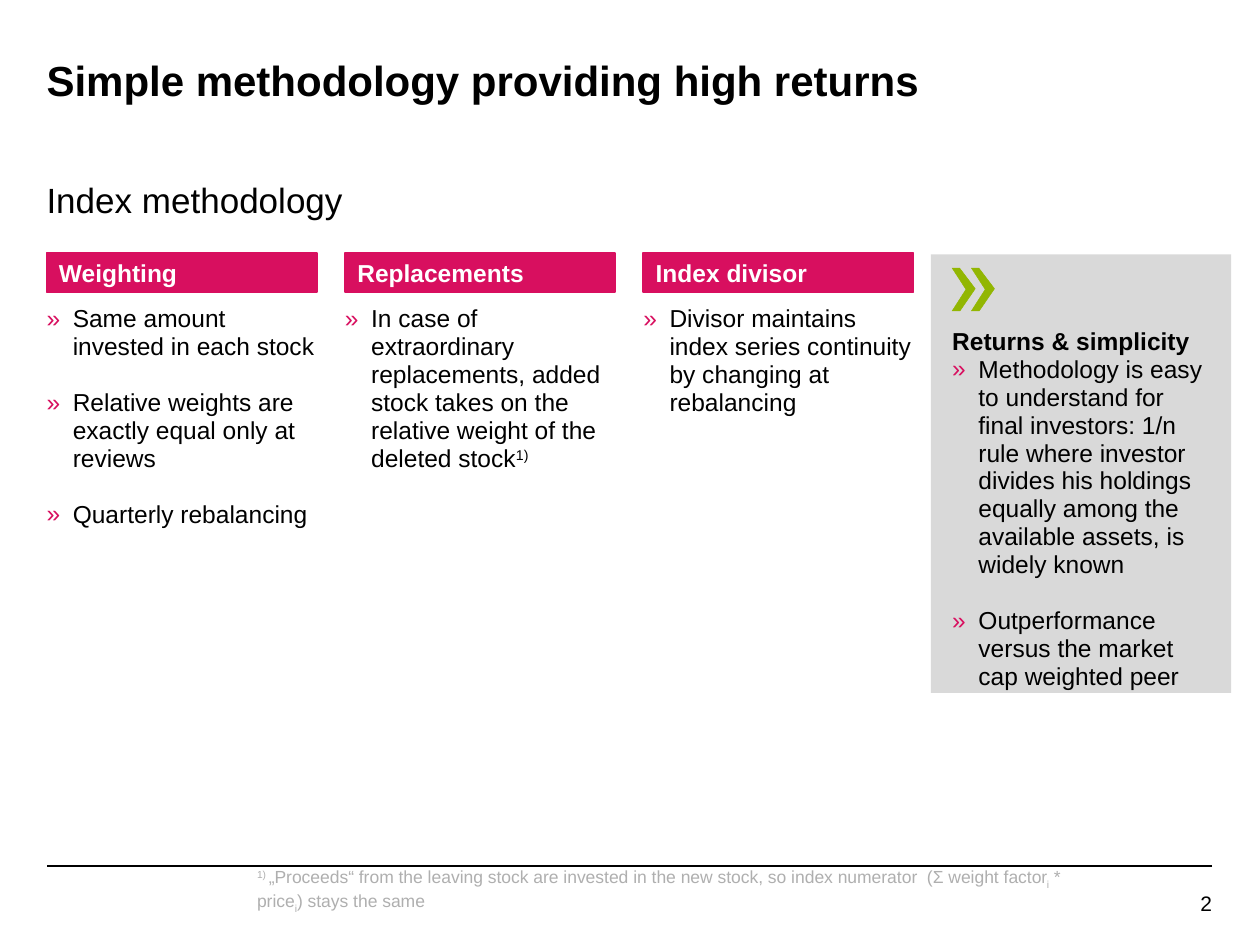
from dataclasses import dataclass

from lxml import etree
from pptx import Presentation
from pptx.dml.color import RGBColor
from pptx.enum.shapes import MSO_CONNECTOR, MSO_SHAPE
from pptx.enum.text import MSO_ANCHOR, MSO_AUTO_SIZE, PP_ALIGN
from pptx.oxml.ns import qn
from pptx.util import Pt

RECTANGLE = MSO_SHAPE.RECTANGLE
STRAIGHT = MSO_CONNECTOR.STRAIGHT
TOP, MIDDLE, BOTTOM = MSO_ANCHOR.TOP, MSO_ANCHOR.MIDDLE, MSO_ANCHOR.BOTTOM
LEFT, RIGHT = PP_ALIGN.LEFT, PP_ALIGN.RIGHT
NO_AUTOFIT = MSO_AUTO_SIZE.NONE


@dataclass(frozen=True)
class Theme:
    font: str = "Arial"
    black: str = "000000"
    white: str = "FFFFFF"
    accent: str = "D80F5F"
    panel: str = "D9D9D9"
    chevron: str = "92B602"
    footnote: str = "AFAFAF"
    title_size: float = 24
    subtitle_size: float = 20
    body_size: float = 14
    number_size: float = 12
    footnote_size: float = 10
    line_spacing: float = 0.95
    bullet_gap: float = 16
    bullet_indent: float = 15


@dataclass(frozen=True)
class Box:
    left: float
    top: float
    width: float
    height: float

    def lengths(self) -> tuple:
        return Pt(self.left), Pt(self.top), Pt(self.width), Pt(self.height)


@dataclass(frozen=True)
class Span:
    text: str
    baseline: int = 0


@dataclass(frozen=True)
class Column:
    heading: str
    bullets: tuple
    list_height: float


THEME = Theme()
MARGIN, CONTENT_WIDTH = 26.6, 666
COLUMN_WIDTH, COLUMN_STEP = 154.4, 170.5
HEADER_TOP, HEADER_HEIGHT, LIST_TOP = 144.6, 22.5, 174.6
SIDEBAR_LEFT, CHEVRON_TOP, CHEVRON_STEP = 544.1, 153.2, 11
CHEVRON = ((0, 0), (4.3, 0), (13.2, 11.8), (4.5, 24.5), (0, 24.5), (7.9, 12.2))

COLUMNS = (
    Column("Weighting", (
        (Span("Same amount invested in each stock"),),
        (Span("Relative weights are exactly equal only at reviews"),),
        (Span("Quarterly rebalancing"),),
    ), 128.9),
    Column("Replacements", ((
        Span("In case of extraordinary replacements, added stock takes on "
             "the relative weight of the deleted stock"),
        Span("1)", 30),
    ),), 107.3),
    Column("Index divisor", ((
        Span("Divisor maintains index series continuity by changing at rebalancing"),
    ),), 64.8),
)
SIDEBAR_BULLETS = (
    (Span("Methodology is easy to understand for final investors: 1/n rule where "
          "investor divides his holdings equally among the available assets, "
          "is widely known"),),
    (Span("Outperformance versus the market cap weighted peer"),),
)
FOOTNOTE = (
    Span("1) ", 30),
    Span("„Proceeds“ from the leaving stock are invested in the new stock, "
         "so index numerator  (Σ weight factor"),
    Span("i", -25),
    Span(" * price"),
    Span("i", -25),
    Span(") stays the same"),
)


def color(value: str) -> RGBColor:
    return RGBColor.from_string(value)


def place(shape, box: Box) -> None:
    shape.left, shape.top, shape.width, shape.height = box.lengths()


def set_frame(text_frame, anchor=TOP, left_inset: float = 0) -> None:
    text_frame.word_wrap = True
    text_frame.auto_size = NO_AUTOFIT
    text_frame.vertical_anchor = anchor
    text_frame.margin_left = Pt(left_inset)
    text_frame.margin_top = text_frame.margin_right = text_frame.margin_bottom = 0


def write(paragraph, spans: tuple, size: float, ink: str = THEME.black,
          bold: bool = False, align=LEFT) -> None:
    paragraph.alignment = align
    paragraph.space_before = paragraph.space_after = Pt(0)
    for span in spans:
        run = paragraph.add_run()
        run.text = span.text
        run.font.name, run.font.size, run.font.bold = THEME.font, Pt(size), bold
        run.font.color.rgb = color(ink)
        if span.baseline:
            run.font._element.set("baseline", str(span.baseline * 1000))


def set_indent(paragraph, indent: float):
    """Hang the first line by the indent and return the paragraph properties."""
    properties = paragraph._p.get_or_add_pPr()
    properties.set("marL", str(Pt(indent)))
    properties.set("indent", str(-Pt(indent)))
    return properties


def set_bullet(paragraph) -> None:
    paragraph.level = 1
    properties = set_indent(paragraph, THEME.bullet_indent)
    bullet_color = etree.SubElement(properties, qn("a:buClr"))
    etree.SubElement(bullet_color, qn("a:srgbClr"), val=THEME.accent)
    etree.SubElement(properties, qn("a:buFont"), typeface=THEME.font)
    etree.SubElement(properties, qn("a:buChar"), char="»")


def fill_list(placeholder, box: Box, bullets: tuple, heading: str = "") -> None:
    place(placeholder, box)
    text_frame = placeholder.text_frame
    set_frame(text_frame)
    paragraph = text_frame.paragraphs[0]
    if heading:
        write(paragraph, (Span(heading),), THEME.body_size, bold=True)
        paragraph.line_spacing = THEME.line_spacing
        etree.SubElement(set_indent(paragraph, 0), qn("a:buNone"))
        paragraph = text_frame.add_paragraph()
    for index, spans in enumerate(bullets):
        if index:
            paragraph = text_frame.add_paragraph()
        write(paragraph, spans, THEME.body_size)
        paragraph.line_spacing = THEME.line_spacing
        paragraph.space_before = Pt(THEME.bullet_gap if index else 0)
        set_bullet(paragraph)


def add_text(slide, box: Box, spans: tuple, size: float, ink: str = THEME.black,
             anchor=TOP, align=LEFT):
    text_frame = slide.shapes.add_textbox(*box.lengths()).text_frame
    set_frame(text_frame, anchor)
    write(text_frame.paragraphs[0], spans, size, ink, align=align)
    return text_frame


def paint(shape, fill: str, line_width: float = 0) -> None:
    shape.shadow.inherit = False
    shape.fill.solid()
    shape.fill.fore_color.rgb = color(fill)
    if line_width:
        shape.line.color.rgb = color(fill)
        shape.line.width = Pt(line_width)
    else:
        shape.line.fill.background()


def add_header(slide, box: Box, text: str) -> None:
    header = slide.shapes.add_shape(RECTANGLE, *box.lengths())
    paint(header, THEME.accent, 1)
    set_frame(header.text_frame, MIDDLE, 7.2)
    write(header.text_frame.paragraphs[0], (Span(text),), THEME.body_size,
          THEME.white, bold=True)


def add_chevron(slide, left: float, top: float):
    points = [(Pt(left + x), Pt(top + y)) for x, y in CHEVRON]
    builder = slide.shapes.build_freeform(*points[0])
    builder.add_line_segments(points[1:], close=True)
    chevron = builder.convert_to_shape()
    paint(chevron, THEME.chevron, 0.25)
    return chevron


def add_footer_line(slide) -> None:
    line = slide.shapes.add_connector(
        STRAIGHT, Pt(MARGIN + CONTENT_WIDTH), Pt(495), Pt(MARGIN), Pt(495))
    line.line.color.rgb = color(THEME.black)
    line.line.width = Pt(1)
    etree.SubElement(line._element.spPr, qn("a:effectLst"))


def main() -> None:
    presentation = Presentation()
    presentation.slide_width, presentation.slide_height = Pt(720), Pt(540)
    slide = presentation.slides.add_slide(
        presentation.slide_layouts.get_by_name("Comparison"))
    title = slide.shapes.title

    panel = slide.shapes.add_shape(RECTANGLE, *Box(532, 145.4, 171.5, 250.6).lengths())
    paint(panel, THEME.panel)
    title.element.addprevious(panel.element)

    place(title, Box(MARGIN, 31, CONTENT_WIDTH, 60.5))
    set_frame(title.text_frame)
    write(title.text_frame.paragraphs[0],
          (Span("Simple methodology providing high returns"),),
          THEME.title_size, bold=True)
    add_text(slide, Box(MARGIN, 101.8, CONTENT_WIDTH, 23.8),
             (Span("Index methodology"),), THEME.subtitle_size)

    for index, column in enumerate(COLUMNS):
        left = MARGIN + index * COLUMN_STEP
        add_header(slide, Box(left, HEADER_TOP, COLUMN_WIDTH, HEADER_HEIGHT), column.heading)
        fill_list(slide.placeholders[index + 1],
                  Box(left, LIST_TOP, COLUMN_WIDTH, column.list_height), column.bullets)

    slide.shapes.add_group_shape([
        add_chevron(slide, SIDEBAR_LEFT + index * CHEVRON_STEP, CHEVRON_TOP)
        for index in range(2)])
    fill_list(slide.placeholders[4], Box(SIDEBAR_LEFT, 187.4, 148.3, 209.5),
              SIDEBAR_BULLETS, "Returns & simplicity")

    add_footer_line(slide)
    add_text(slide, Box(146.9, 498, 475.2, 24.5), FOOTNOTE, THEME.footnote_size,
             THEME.footnote, BOTTOM)
    number = add_text(slide, Box(633.6, 509.8, 59, 13.7), (Span("2"),),
                      THEME.number_size, align=RIGHT)
    number.paragraphs[0].line_spacing = THEME.line_spacing
    presentation.save("out.pptx")


if __name__ == "__main__":
    main()
